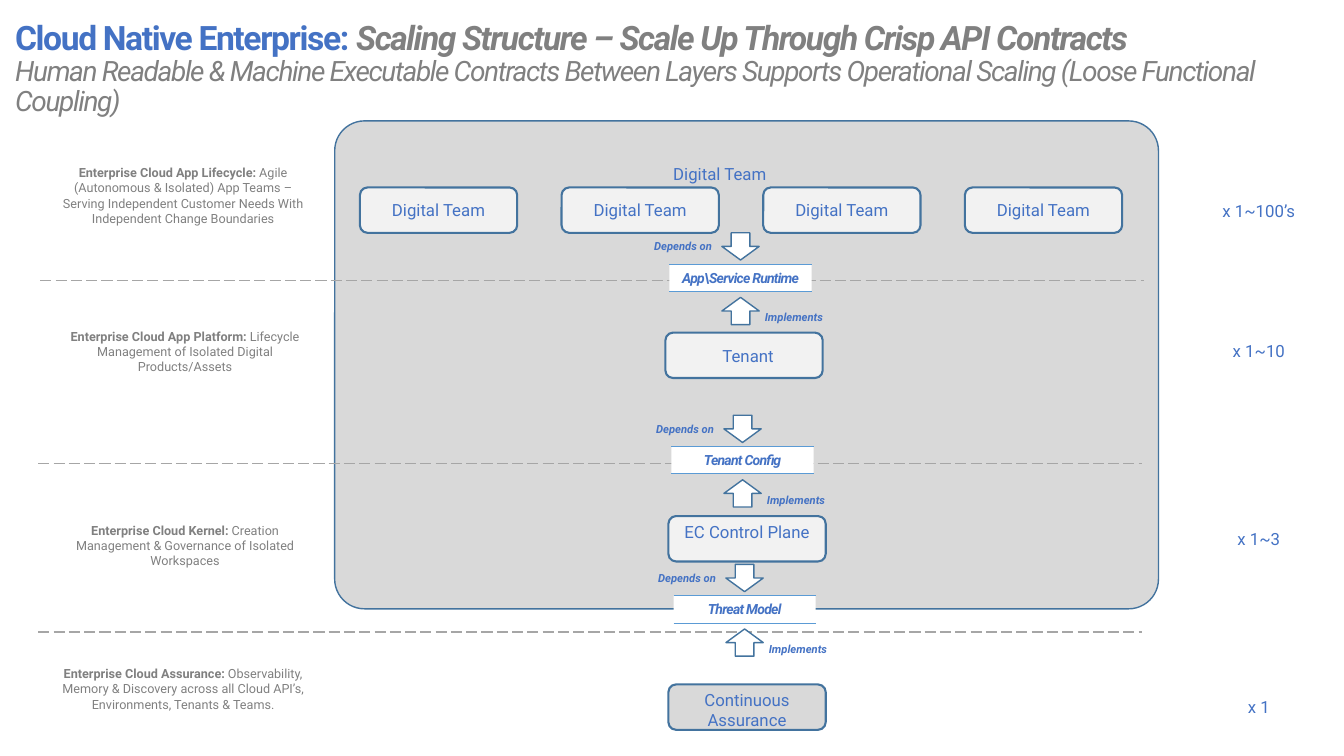
"""Build the Cloud Native Enterprise scaling structure slide."""
from lxml.etree import SubElement
from pptx import Presentation
from pptx.dml.color import RGBColor
from pptx.enum.dml import MSO_LINE
from pptx.enum.shapes import MSO_CONNECTOR, MSO_SHAPE
from pptx.enum.text import MSO_ANCHOR, PP_ALIGN
from pptx.oxml.ns import qn
from pptx.util import Inches, Pt

FONT = "Roboto"
COLORS = {
    "blue": "4472C4", "outline": "43739E", "rule": "5B9BD5", "dash": "A6A6A6",
    "text": "808080", "panel": "D9D9D9", "box": "F2F2F2", "white": "FFFFFF",
}
TITLE_LINES = [
    (24, [("Cloud Native Enterprise: ", "blue", True, False),
          ("Scaling Structure – Scale Up Through Crisp API Contracts", "text", True, True)]),
    (20, [("Human Readable & Machine Executable Contracts Between Layers Supports "
           "Operational Scaling (Loose Functional Coupling)", "text", False, True)]),
]
LAYERS = [
    (0.44, 1.59, "Enterprise Cloud App Lifecycle: ",
     "Agile (Autonomous & Isolated) App Teams – Serving Independent Customer Needs "
     "With Independent Change Boundaries", 1.94, "x 1~100’s"),
    (0.46, 3.21, "Enterprise Cloud App Platform: ",
     "Lifecycle Management of Isolated Digital Products/Assets", 3.33, "x 1~10"),
    (0.46, 5.14, "Enterprise Cloud Kernel: ",
     "Creation Management & Governance of Isolated Workspaces", 5.2, "x 1~3"),
    (0.44, 6.56, "Enterprise Cloud Assurance: ",
     "Observability, Memory & Discovery across all Cloud API’s, Environments, "
     "Tenants & Teams.", 6.86, "x 1"),
]
DIVIDERS = [(0.4, 2.78), (0.38, 4.6), (0.38, 6.27)]
CONTRACTS = [
    (6.64, 2.62, "App\\Service Runtime"),
    (6.66, 4.43, "Tenant Config"),
    (6.68, 5.91, "Threat Model"),
]


def color(name):
    """Return the named colour."""
    return RGBColor.from_string(COLORS[name])


def style_font(font, size, tint, bold=False, italic=False):
    """Set the typeface, size, colour and emphasis of a font."""
    font.name, font.size, font.bold, font.italic = FONT, Pt(size), bold, italic
    font.color.rgb = color(tint)


def add_span(para, text, spacing=0):
    """Add a run with letter spacing in points."""
    span = para.add_run()
    span.text = text
    if spacing:
        span.font._element.set("spc", str(int(spacing * 100)))
    return span


def add_title(page):
    """Fill the title placeholder with its two styled paragraphs."""
    title = page.shapes.title
    title.left, title.top = Inches(0.02), Inches(0.13)
    title.width, title.height = Inches(13.03), Inches(0.78)
    frame = title.text_frame
    frame.word_wrap = True
    frame.vertical_anchor = MSO_ANCHOR.TOP
    frame.margin_left = frame.margin_right = Inches(0.13)
    frame.margin_top = frame.margin_bottom = Inches(0.08)
    for index, (size, spans) in enumerate(TITLE_LINES):
        para = frame.add_paragraph() if index else frame.paragraphs[0]
        para.alignment = PP_ALIGN.LEFT
        para.line_spacing = 0.9
        para.space_before = Pt(0)
        for text, tint, bold, italic in spans:
            style_font(add_span(para, text, -1).font, size, tint, bold, italic)


def add_shape(page, kind, left, top, width, height, fill, outline=None, weight=1):
    """Add a flat preset shape."""
    shape = page.shapes.add_shape(
        kind, Inches(left), Inches(top), Inches(width), Inches(height))
    shape.shadow.inherit = False
    shape.fill.solid()
    shape.fill.fore_color.rgb = color(fill)
    if outline:
        shape.line.color.rgb = color(outline)
        shape.line.width = Pt(weight)
    else:
        shape.line.fill.background()
    return shape


def add_line(page, left, right, top, tint, weight, dash=None):
    """Add a horizontal line."""
    line = page.shapes.add_connector(
        MSO_CONNECTOR.STRAIGHT, Inches(left), Inches(top), Inches(right), Inches(top))
    line.line.color.rgb = color(tint)
    line.line.width = Pt(weight)
    if dash:
        line.line.dash_style = dash
    SubElement(line._element.spPr, qn("a:effectLst"))


def add_label(page, left, top, width, height, text, size, tint="blue", strong="", accent=False):
    """Add a centred text box, with an optional bold lead-in."""
    box = page.shapes.add_textbox(Inches(left), Inches(top), Inches(width), Inches(height))
    box.text_frame.word_wrap = True
    para = box.text_frame.paragraphs[0]
    para.alignment = PP_ALIGN.CENTER
    style_font(para.font, size, tint, accent, accent)
    if strong:
        add_span(para, strong).font.bold = True
    add_span(para, text)


def add_box(page, left, top, text, fill="box", anchor=MSO_ANCHOR.MIDDLE, shift=0):
    """Add a rounded box with its name, moved right by the shift."""
    box = add_shape(page, MSO_SHAPE.ROUNDED_RECTANGLE, left, top, 1.56, 0.45,
                    fill, "outline", 1.5)
    frame = box.text_frame
    frame.word_wrap = True
    frame.vertical_anchor = anchor
    frame.margin_left = Inches(0.08 + 2 * shift)
    frame.margin_right = Inches(0.08)
    frame.margin_top = frame.margin_bottom = Inches(0.03)
    para = frame.paragraphs[0]
    para.alignment = PP_ALIGN.CENTER
    style_font(para.font, 12, "blue")
    add_span(para, text)


def add_contract(page, left, top, text):
    """Add a contract plate with its two arrows and their labels."""
    width, height = 1.41, 0.27
    plate = add_shape(page, MSO_SHAPE.RECTANGLE, left, top, width, height, "white")
    plate.text_frame.word_wrap = True
    plate.text_frame.vertical_anchor = MSO_ANCHOR.MIDDLE
    para = plate.text_frame.paragraphs[0]
    para.alignment = PP_ALIGN.CENTER
    style_font(para.font, 10, "blue", True, True)
    add_span(para, text, -0.5)
    for edge in (top, top + height):
        add_line(page, left, left + width, edge, "rule", 0.5)
    add_label(page, left - 0.27, top - 0.29, 0.81, 0.24, "Depends on", 8, accent=True)
    add_label(page, left + 0.83, top + 0.41, 0.81, 0.24, "Implements", 8, accent=True)
    for offset, turn in ((-0.31, 0), (0.33, 180)):
        arrow = add_shape(page, MSO_SHAPE.DOWN_ARROW, left + 0.52, top + offset,
                          0.37, 0.27, "white", "outline")
        arrow.rotation = turn


def main():
    """Build and save the slide."""
    deck = Presentation()
    deck.slide_width, deck.slide_height = Inches(13.33), Inches(7.5)
    page = deck.slides.add_slide(deck.slide_layouts[5])
    panel = add_shape(page, MSO_SHAPE.ROUNDED_RECTANGLE, 3.32, 1.2, 8.17, 4.84,
                      "panel", "outline")
    panel.adjustments[0] = 0.061
    add_title(page)
    for column in range(4):
        add_box(page, 3.57 + 2 * column, 1.86, "Digital Team")
    add_box(page, 6.6, 3.3, "Tenant", shift=0.04)
    add_box(page, 6.63, 5.12, "EC Control Plane", anchor=MSO_ANCHOR.TOP)
    add_box(page, 6.63, 6.79, "Continuous Assurance", "panel", MSO_ANCHOR.TOP)
    for left, top in DIVIDERS:
        add_line(page, left, left + 10.95, top, "dash", 1, MSO_LINE.LONG_DASH)
    for left, top, name, detail, count_top, count in LAYERS:
        add_label(page, left, top, 2.75, 0.56, detail, 9, "text", name)
        add_label(page, 11.74, count_top, 1.49, 0.3, count, 12)
    for contract in CONTRACTS:
        add_contract(page, *contract)
    add_label(page, 6.36, 1.58, 1.56, 0.3, "Digital Team", 12)
    deck.save("out.pptx")


if __name__ == "__main__":
    main()
